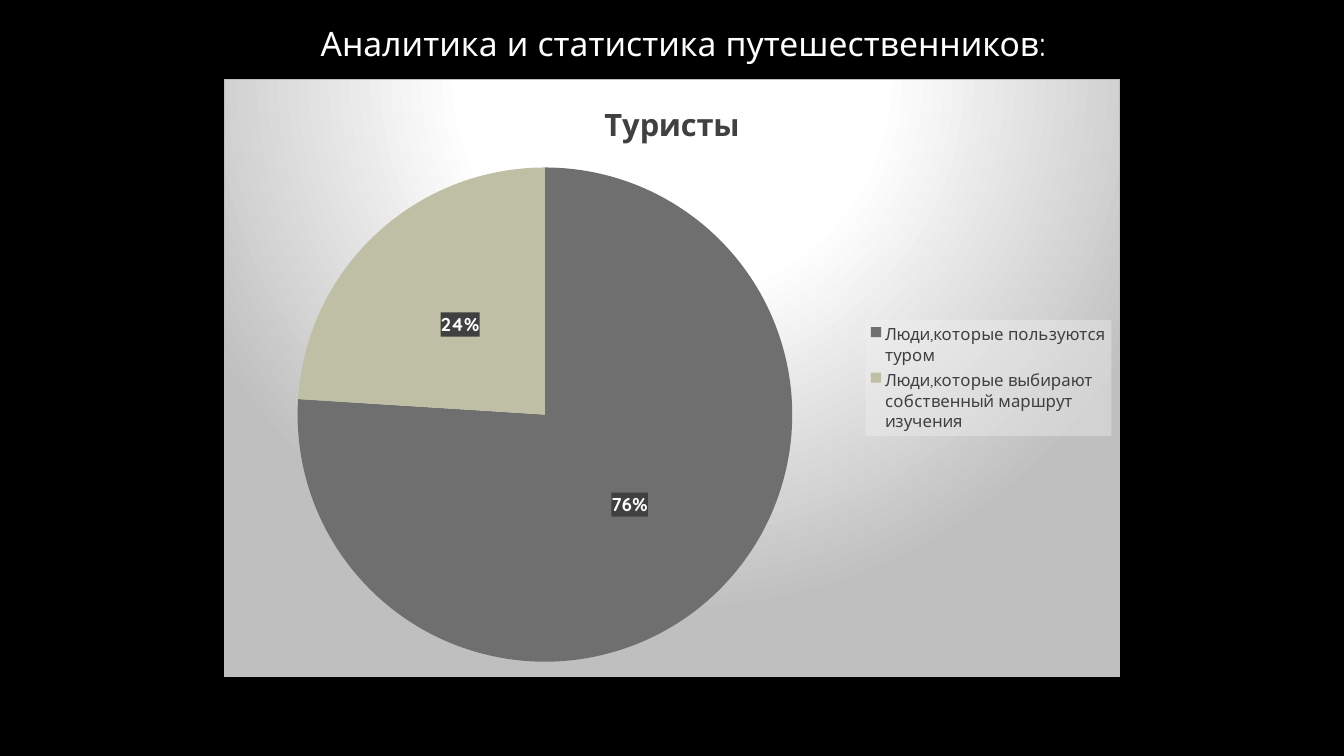
from dataclasses import dataclass

from lxml import etree
from pptx import Presentation
from pptx.chart.data import CategoryChartData
from pptx.dml.color import RGBColor
from pptx.enum.chart import XL_CHART_TYPE, XL_LABEL_POSITION, XL_LEGEND_POSITION
from pptx.enum.text import MSO_ANCHOR, PP_ALIGN
from pptx.oxml import parse_xml
from pptx.oxml.ns import nsdecls, qn
from pptx.util import Inches, Pt

PIE = XL_CHART_TYPE.PIE
LABEL_CENTER = XL_LABEL_POSITION.CENTER
LEGEND_RIGHT = XL_LEGEND_POSITION.RIGHT
ALIGN_LEFT = PP_ALIGN.LEFT
ANCHOR_TOP = MSO_ANCHOR.TOP

FONT = "Quicksand"
SLIDE_WIDTH, SLIDE_HEIGHT = Inches(13.33), Inches(7.5)
COLORS = {
    "background": "000000",
    "light": "FFFFFF",
    "dark": "404040",
    "edge": "BFBFBF",
    "legend": "F2F2F2",
    "tour": "6F6F6F",
    "own_route": "BFBFA5",
}
TITLE = "Аналитика и статистика путешественников:"
SERIES = "Туристы"


@dataclass
class Area:
    """A rectangle in percent of the slide or of the chart."""
    left: float
    top: float
    width: float
    height: float

    def on_slide(self) -> tuple[int, int, int, int]:
        return (int(self.left * SLIDE_WIDTH / 100), int(self.top * SLIDE_HEIGHT / 100),
                int(self.width * SLIDE_WIDTH / 100), int(self.height * SLIDE_HEIGHT / 100))


@dataclass
class Slice:
    category: str
    value: int
    color: str


TITLE_AREA = Area(23.1, 2.3, 58.8, 6.7)
CHART_AREA = Area(16.67, 10.5, 66.67, 79)
PIE_AREA = Area(8.1, 14.7, 55.4, 82.9)
LEGEND_AREA = Area(71.6, 40.3, 27.5, 19.4)
SLICES = [
    Slice("Люди,которые пользуются туром", 76, "tour"),
    Slice("Люди,которые выбирают собственный маршрут изучения", 24, "own_route"),
]


def rgb(name: str) -> RGBColor:
    return RGBColor.from_string(COLORS[name])


def set_font(font, size: float, color: str, bold: bool = False) -> None:
    font.name, font.size, font.bold = FONT, Pt(size), bold
    font.color.rgb = rgb(color)


def chart_format(content: str) -> etree._Element:
    return parse_xml(f'<c:spPr {nsdecls("c", "a")}>{content}</c:spPr>')


def clear_fill(color: str, opacity: int) -> etree._Element:
    """Solid fill with an opacity in percent."""
    return chart_format(f'<a:solidFill><a:srgbClr val="{COLORS[color]}">'
                        f'<a:alpha val="{opacity * 1000}"/></a:srgbClr></a:solidFill>')


def manual_layout(area: Area, target: str = "") -> etree._Element:
    return parse_xml(
        f'<c:layout {nsdecls("c")}><c:manualLayout>{target}'
        '<c:xMode val="edge"/><c:yMode val="edge"/>'
        f'<c:x val="{area.left / 100}"/><c:y val="{area.top / 100}"/>'
        f'<c:w val="{area.width / 100}"/><c:h val="{area.height / 100}"/>'
        '</c:manualLayout></c:layout>')


def replace_layout(parent: etree._Element, layout: etree._Element, index: int) -> None:
    for old in parent.findall(qn("c:layout")):
        parent.remove(old)
    parent.insert(index, layout)


def add_title(slide) -> None:
    title = slide.shapes.title
    title.left, title.top, title.width, title.height = TITLE_AREA.on_slide()
    frame = title.text_frame
    frame.word_wrap = True
    frame.vertical_anchor = ANCHOR_TOP
    paragraph = frame.paragraphs[0]
    paragraph.alignment = ALIGN_LEFT
    run = paragraph.add_run()
    run.text = TITLE
    set_font(run.font, 24, "light")


def add_pie(slide):
    data = CategoryChartData()
    data.categories = [part.category for part in SLICES]
    data.add_series(SERIES, [part.value for part in SLICES])
    chart = slide.shapes.add_chart(PIE, *CHART_AREA.on_slide(), data).chart
    set_font(chart.font, 10, "light")

    chart.has_title = True
    run = chart.chart_title.text_frame.paragraphs[0].add_run()
    run.text = SERIES
    set_font(run.font, 22, "dark", bold=True)

    plot = chart.plots[0]
    plot.vary_by_categories = True
    series = plot.series[0]
    for index, part in enumerate(SLICES):
        fill = series.points[index].format.fill
        fill.solid()
        fill.fore_color.rgb = rgb(part.color)
    return chart


def style_labels(chart) -> None:
    labels = chart.plots[0].series[0].data_labels
    labels.show_value, labels.show_percentage = False, True
    labels.number_format, labels.number_format_is_linked = "0%", False
    labels.position = LABEL_CENTER
    set_font(labels.font, 13.3, "light", bold=True)
    text_format = labels._element.find(qn("c:txPr"))
    text_format.addprevious(clear_fill("dark", 75))


def style_legend(chart) -> None:
    chart.has_legend = True
    legend = chart.legend
    legend.position = LEGEND_RIGHT
    legend.include_in_layout = False
    set_font(legend.font, 12, "dark")
    replace_layout(legend._element, manual_layout(LEGEND_AREA), 1)
    legend._element.find(qn("c:txPr")).addprevious(clear_fill("legend", 39))


def style_chart_area(chart) -> None:
    space = chart._chartSpace
    inner = '<c:layoutTarget val="inner"/>'
    replace_layout(space.find(".//" + qn("c:plotArea")), manual_layout(PIE_AREA, inner), 0)
    stops = "".join(
        f'<a:gs pos="{position * 1000}"><a:srgbClr val="{COLORS[color]}"/></a:gs>'
        for position, color in ((0, "light"), (39, "light"), (100, "edge")))
    space.find(qn("c:chart")).addnext(chart_format(
        f'<a:gradFill><a:gsLst>{stops}</a:gsLst><a:path path="circle">'
        '<a:fillToRect l="50000" t="-80000" r="50000" b="180000"/></a:path></a:gradFill>'
        f'<a:ln w="{Pt(0.75)}"><a:solidFill><a:srgbClr val="{COLORS["edge"]}"/>'
        '</a:solidFill></a:ln>'))


def main() -> None:
    presentation = Presentation()
    presentation.slide_width, presentation.slide_height = SLIDE_WIDTH, SLIDE_HEIGHT
    # Title Only layout on a black background
    slide = presentation.slides.add_slide(presentation.slide_layouts[5])
    background = slide.background.fill
    background.solid()
    background.fore_color.rgb = rgb("background")
    # Title and pie chart
    add_title(slide)
    chart = add_pie(slide)
    style_labels(chart)
    style_legend(chart)
    style_chart_area(chart)
    presentation.save("out.pptx")


if __name__ == "__main__":
    main()
